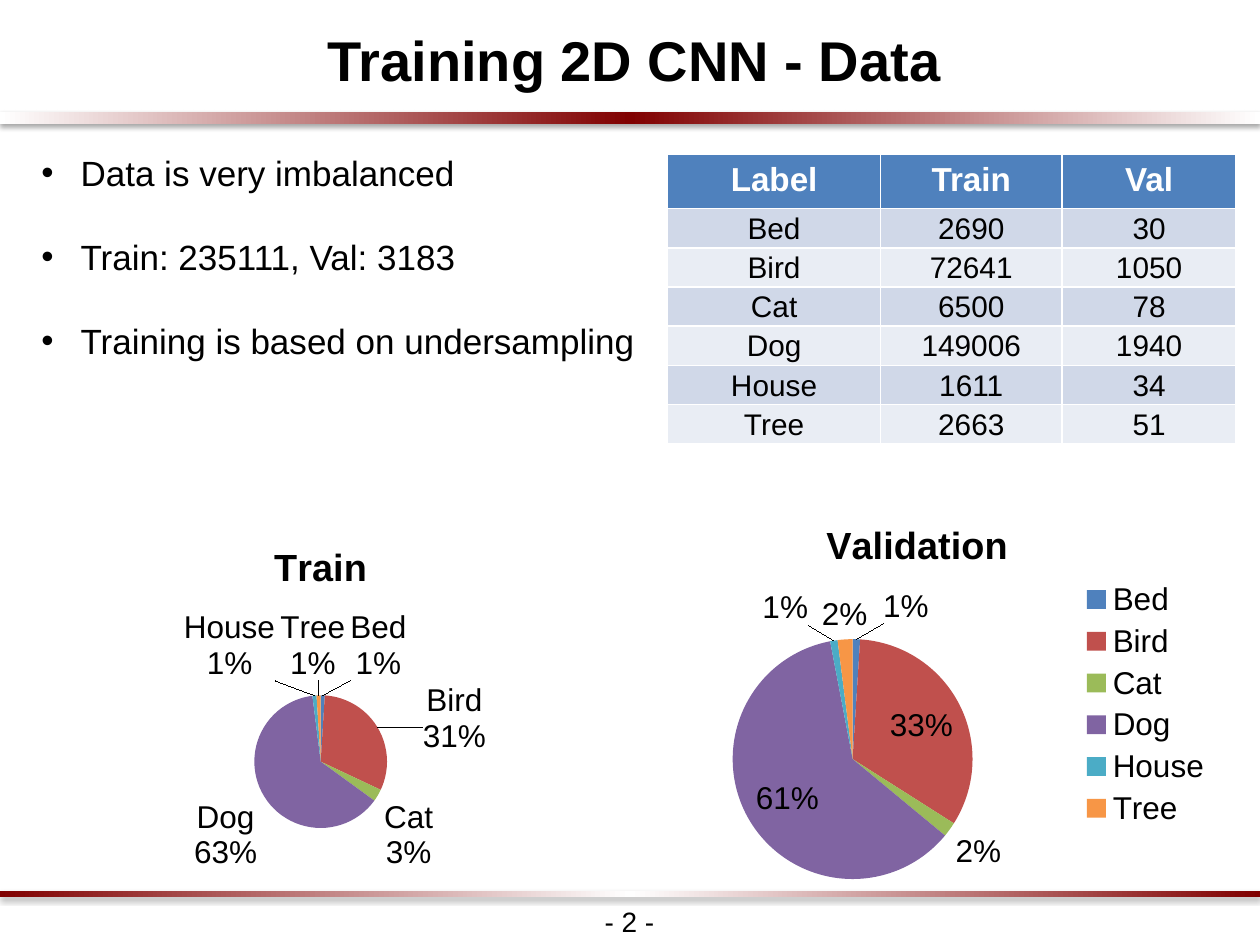
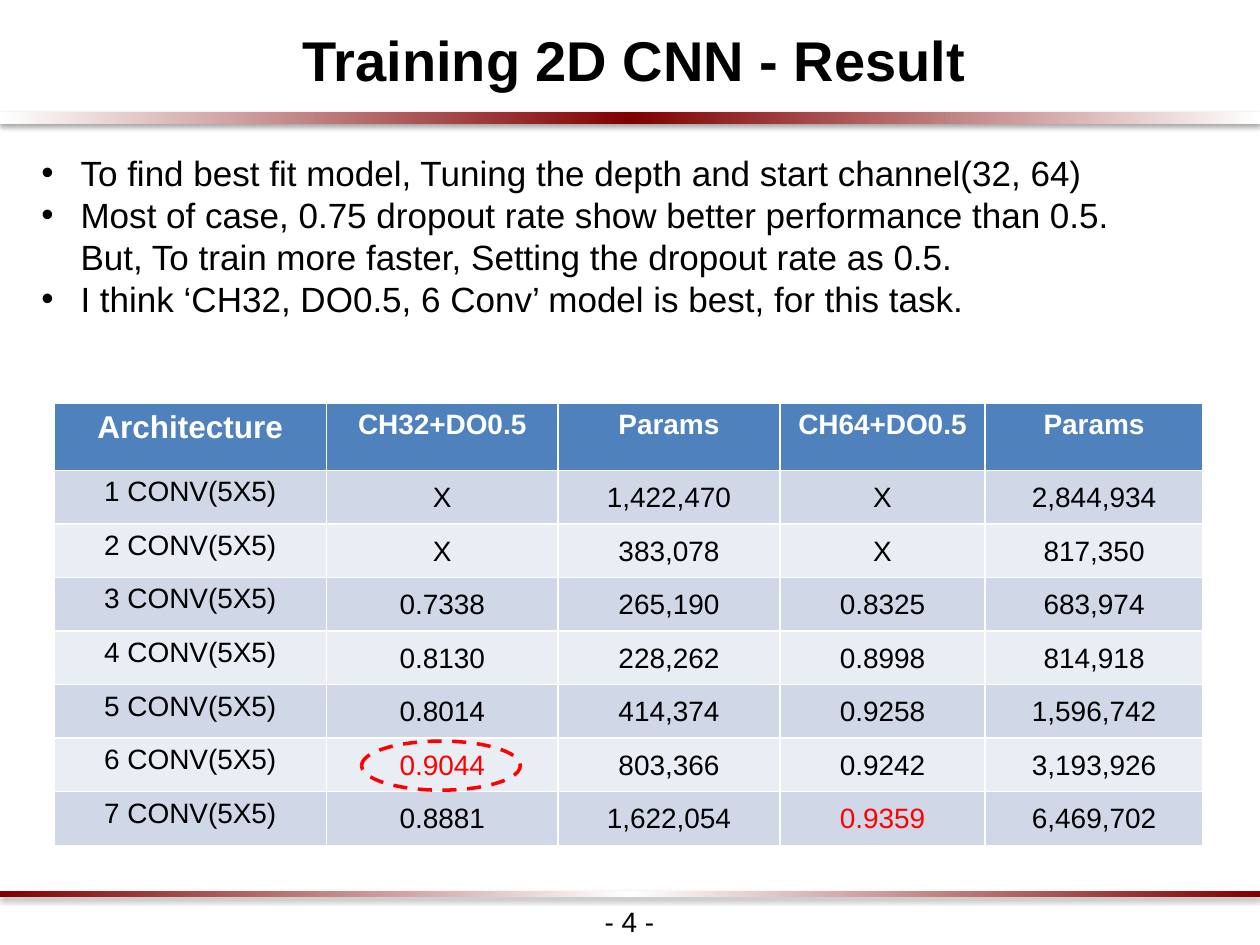
from copy import deepcopy

from lxml import etree
from pptx import Presentation, util as u
from pptx.chart.data import CategoryChartData
from pptx.dml.color import RGBColor
from pptx.enum import chart as ch, dml, shapes, text
from pptx.oxml.ns import qn

BLACK, WHITE, RED, WINE = "000000", "FFFFFF", "FF0000", "800000"
HEAD, BANDS = "4F81BD", ("D0D8E8", "E9EDF4")
SLICES = ("4F81BD", "C0504D", "9BBB59", "8064A2", "4BACC6", "F79646")
NAMES = ("Bed", "Bird", "Cat", "Dog", "House", "Tree")
OUT, IN = "outEnd", "inEnd"


def rgb(code):
    return RGBColor.from_string(code)


def box(*sides):
    return [u.Cm(side) for side in sides]


def node(owner, tag, **attrs):
    return etree.SubElement(owner, qn(tag), {k: str(v) for k, v in attrs.items()})


def layout(owner, **parts):
    frame = node(owner, "c:layout")
    manual = node(frame, "c:manualLayout")
    for tag, val in parts.items():
        node(manual, "c:" + tag, val=val)
    return frame


class Deck:
    def __init__(self):
        self.prs = Presentation()
        self.prs.slide_width, self.prs.slide_height = box(25.4, 19.05)
        self.face = "Arial"
        self.slide = None

    def style(self, font, size, color=BLACK, bold=False):
        font.name, font.size, font.bold = self.face, u.Pt(size), bold
        font.color.rgb = rgb(color)

    def place(self, shape, sides):
        shape.left, shape.top, shape.width, shape.height = box(*sides)

    def page(self, title, number):
        self.slide = self.prs.slides.add_slide(self.prs.slide_layouts[1])
        self.band(2.26, 0.25, WHITE, WINE)
        self.band(17.96, 0.13, WINE, WHITE)
        self.title(title)
        self.number(number)

    def band(self, top, height, edge, core):
        bar = self.slide.shapes.add_shape(
            shapes.MSO_SHAPE.RECTANGLE, *box(0, top, 25.4, height))
        bar.line.fill.background()
        bar.fill.gradient()
        bar.fill.gradient_angle = 0
        stops = bar._element.spPr.find(".//" + qn("a:gsLst"))
        stops.insert(1, deepcopy(stops[0]))
        for stop, color, pos in zip(bar.fill.gradient_stops,
                                    (edge, core, edge), (0, 0.5, 1)):
            stop.color.rgb = rgb(color)
            stop.position = pos
        bar.shadow.inherit = False
        effect = bar._element.spPr.find(qn("a:effectLst"))
        shade = node(effect, "a:outerShdw", blurRad=u.Pt(3.1), dist=u.Pt(1.8),
                     dir=5400000, rotWithShape=0)
        node(node(shade, "a:srgbClr", val=BLACK), "a:alpha", val=35000)

    def title(self, words):
        shape = self.slide.shapes.title
        self.place(shape, (-0.58, 0.08, 26.54, 2.01))
        frame = shape.text_frame
        frame.auto_size = text.MSO_AUTO_SIZE.NONE
        frame.vertical_anchor = text.MSO_ANCHOR.MIDDLE
        frame.margin_top = frame.margin_bottom = u.Cm(0.25)
        para = frame.paragraphs[0]
        para.text = words
        para.alignment = text.PP_ALIGN.CENTER
        para.line_spacing = 1.15
        para._p.get_or_add_pPr().set("marL", str(u.Cm(0.2)))
        self.style(para.font, 32, bold=True)

    def number(self, value):
        label = self.slide.shapes.add_textbox(*box(9.73, 18.11, 5.92, 0.94))
        label.text_frame.word_wrap = True
        para = label.text_frame.paragraphs[0]
        para.text = f"- {value} -"
        para.alignment = text.PP_ALIGN.CENTER
        self.style(para.font, 16)

    def bullets(self, lines, height, gap=0):
        body = self.slide.placeholders[1]
        self.place(body, (0.58, 2.92, 24.92, height))
        frame = body.text_frame
        frame.auto_size = text.MSO_AUTO_SIZE.NONE
        for i, line in enumerate(lines):
            para = frame.add_paragraph() if i else frame.paragraphs[0]
            para.text = line
            para.line_spacing = u.Pt(24)
            para.space_before, para.space_after = u.Pt(0), u.Pt(gap)
            props = para._p.get_or_add_pPr()
            props.set("marL", str(u.Cm(0.79)))
            props.set("indent", str(-u.Cm(0.79)))
            self.style(para.font, 20)

    def table(self, spot, cols, tall, rows, heads, size, pad=(), loose=False, marks=()):
        sides = *spot, sum(cols), tall[0] + tall[1] * (len(rows) - 1)
        grid = self.slide.shapes.add_table(len(rows), len(cols), *box(*sides)).table
        for col, width in zip(grid.columns, cols):
            col.width = u.Cm(width)
        for r, row in enumerate(rows):
            grid.rows[r].height = u.Cm(tall[min(r, 1)])
            for c, words in enumerate(row):
                cell = grid.cell(r, c)
                cell.fill.solid()
                cell.fill.fore_color.rgb = rgb(BANDS[(r - 1) % 2] if r else HEAD)
                para = cell.text_frame.paragraphs[0]
                para.text = words
                para.alignment = text.PP_ALIGN.CENTER
                if r == 0:
                    self.style(para.font, heads[min(c, 1)], WHITE, True)
                    if pad:
                        self.inset(cell, *pad)
                    continue
                self.style(para.font, size, RED if words in marks else BLACK)
                if c or not loose:
                    cell.vertical_anchor = text.MSO_ANCHOR.MIDDLE
                    self.inset(cell, 0.03, 0.03, 0)

    def inset(self, cell, side, top, base):
        cell.margin_left = cell.margin_right = u.Cm(side)
        cell.margin_top, cell.margin_bottom = box(top, base)

    def pie(self, name, sides, vals, plot, tags, full):
        data = CategoryChartData()
        data.categories = NAMES
        data.add_series(name, vals)
        chart = self.slide.shapes.add_chart(
            ch.XL_CHART_TYPE.PIE, *box(*sides), data).chart
        self.style(chart.font, 18)
        chart.has_title = True
        head = chart.chart_title.text_frame.paragraphs[0]
        head.text = name
        self.style(head.font, 21.6, bold=True)
        chart.has_legend = not full
        if chart.has_legend:
            chart.legend.position = ch.XL_LEGEND_POSITION.RIGHT
            chart.legend.include_in_layout = False
            self.style(chart.legend.font, 18)
        area = chart._chartSpace.chart.plotArea
        for old in area.findall(qn("c:layout")):
            area.remove(old)
        area.insert(0, layout(area, layoutTarget="inner", xMode="edge", yMode="edge",
                              **dict(zip("xywh", plot))))
        chart.plots[0].vary_by_categories = True
        series = chart.plots[0].series[0]
        for i, color in enumerate(SLICES):
            fill = series.points[i].format.fill
            fill.solid()
            fill.fore_color.rgb = rgb(color)
        self.tags(series.data_labels, tags, full)

    def tags(self, labels, tags, full):
        labels.show_value = False
        labels.show_percentage = True
        labels.show_category_name = full
        labels.number_format, labels.number_format_is_linked = "0%", False
        labels.position = ch.XL_LABEL_POSITION.OUTSIDE_END
        self.style(labels.font, 18)
        group = labels._element
        split = node(group, "c:separator")
        split.text = "\n"
        group.find(qn("c:showBubbleSize")).addnext(split)
        shared = [group.find(qn("c:" + tag)) for tag in (
            "numFmt", "txPr", "dLblPos", "showLegendKey", "showVal", "showCatName",
            "showSerName", "showPercent", "showBubbleSize", "separator")]
        for spot, (i, (x, y, where)) in enumerate(tags.items()):
            tag = node(group, "c:dLbl")
            node(tag, "c:idx", val=i)
            if x or y:
                layout(tag, x=x, y=y)
            for part in shared:
                tag.append(deepcopy(part))
            tag.find(qn("c:dLblPos")).set("val", where)
            group.insert(spot, tag)

    def ring(self, *sides):
        oval = self.slide.shapes.add_shape(shapes.MSO_SHAPE.OVAL, *box(*sides))
        oval.shadow.inherit = False
        oval.fill.background()
        oval.line.color.rgb = rgb(RED)
        oval.line.width = u.Pt(2)
        oval.line.dash_style = dml.MSO_LINE.DASH


def data_page(deck):
    deck.page("Training 2D CNN - Data", 2)
    deck.bullets(("Data is very imbalanced", "Train: 235111, Val: 3183",
                  "Training is based on undersampling"), 8.99, 24)
    deck.pie("Train", (0.89, 10.52, 11.15, 7.44), (1, 31, 3, 63, 1, 1),
             (0.38, 0.47, 0.24, 0.36),
             {0: (0.1, -0.02, OUT), 1: (0.07, 0.08, OUT),
              4: (-0.07, -0.02, OUT), 5: (-0.01, -0.02, OUT)}, True)
    counts = zip(NAMES, ("2690", "72641", "6500", "149006", "1611", "2663"),
                 ("30", "1050", "78", "1940", "34", "51"))
    deck.table((13.46, 3.1), (4.29, 3.66, 3.51), (1.09, 0.79),
               [("Label", "Train", "Val"), *counts], (19, 19), 17, (0.28, 0.15, 0.15))
    deck.pie("Validation", (12.29, 10.06, 12.4, 8.26), (1, 33, 2, 61, 1, 2),
             (0.2, 0.34, 0.39, 0.59),
             {0: (0.08, -0.02, OUT), 1: (0, 0, IN), 3: (0, 0, IN),
              4: (-0.04, -0.02, OUT)}, False)


def result_page(deck):
    deck.page("Training 2D CNN - Result", 4)
    deck.bullets((
        "To find best fit model, Tuning the depth and start channel(32, 64)",
        "Most of case, 0.75 dropout rate show better performance than 0.5.\n"
        "But, To train more faster, Setting the dropout rate as 0.5.",
        "I think ‘CH32, DO0.5, 6 Conv’ model is best, for this task."), 4.19)
    scores = (("X", "1,422,470", "X", "2,844,934"),
              ("X", "383,078", "X", "817,350"),
              ("0.7338", "265,190", "0.8325", "683,974"),
              ("0.8130", "228,262", "0.8998", "814,918"),
              ("0.8014", "414,374", "0.9258", "1,596,742"),
              ("0.9044", "803,366", "0.9242", "3,193,926"),
              ("0.8881", "1,622,054", "0.9359", "6,469,702"))
    rows = [("Architecture", "CH32+DO0.5", "Params", "CH64+DO0.5", "Params")]
    rows += [(f"{n} CONV(5X5)", *score) for n, score in enumerate(scores, 1)]
    deck.table((1.09, 8.13), (5.49, 4.67, 4.47, 4.14, 4.39), (1.35, 1.08),
               rows, (18, 16), 16, loose=True, marks=("0.9044", "0.9359"))
    deck.ring(7.29, 14.94, 3.2, 0.99)


def main():
    deck = Deck()
    data_page(deck)
    result_page(deck)
    deck.prs.save("out.pptx")


if __name__ == "__main__":
    main()
